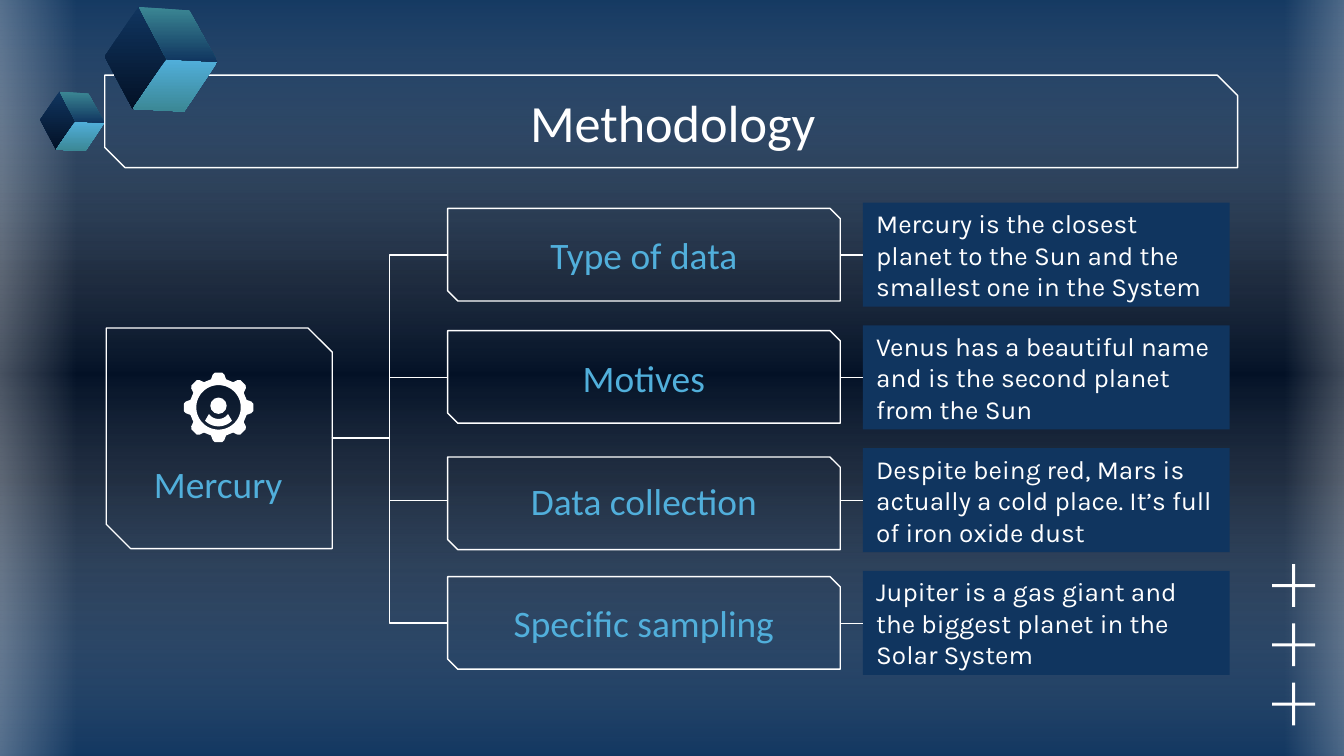
"""Build the methodology slide: one topic branching into four described steps."""
import copy
import math

import pptx
import pptx.dml.color
import pptx.enum.shapes
import pptx.enum.text
import pptx.oxml.ns
import pptx.util
from lxml import etree

Cm = pptx.util.Cm
SHAPES = pptx.enum.shapes.MSO_SHAPE
CONNECTORS = pptx.enum.shapes.MSO_CONNECTOR
ALIGN = pptx.enum.text.PP_ALIGN
qn = pptx.oxml.ns.qn

WHITE, NAVY, NIGHT, SKY, TEAL = "FFFFFF", "10355F", "031126", "51AFDB", "3B8794"


def paint(fill, *stops, angle=90):
    """Fill with one hex colour, or with (position, hex, opacity) stops."""
    if len(stops) == 1:
        fill.solid()
        fill.fore_color.rgb = pptx.dml.color.RGBColor.from_string(stops[0])
        return
    fill.gradient()
    fill.gradient_angle = 360 - angle
    first = fill.gradient_stops[0]._gs
    for _ in stops[2:]:
        first.getparent().append(copy.deepcopy(first))
    for stop, (position, color, opacity) in zip(fill.gradient_stops, stops):
        stop.position = position / 100
        stop.color.rgb = pptx.dml.color.RGBColor.from_string(color)
        if opacity < 100:
            alpha = etree.SubElement(stop._gs[0], qn("a:alpha"))
            alpha.set("val", str(opacity * 1000))


def write(box, text, size=20, color=SKY, font="Calibri", align=ALIGN.CENTER):
    """Put formatted text into a box."""
    frame = box.text_frame
    frame.word_wrap = True
    frame.vertical_anchor = pptx.enum.text.MSO_ANCHOR.MIDDLE
    frame.margin_left = frame.margin_right = Cm(0.25)
    frame.margin_top = frame.margin_bottom = Cm(0.25)
    paragraph = frame.paragraphs[0]
    paragraph.alignment = align
    run = paragraph.add_run()
    run.text = text
    run.font.size = pptx.util.Pt(size)
    run.font.name = font
    paint(run.font.fill, color)


deck = pptx.Presentation()
deck.slide_width, deck.slide_height = Cm(25.4), Cm(14.29)
slide = deck.slides.add_slide(deck.slide_layouts[6])
shapes = slide.shapes
paint(slide.background.fill,
      (0, NAVY, 100), (37, NIGHT, 100), (63, NIGHT, 100), (100, NAVY, 100))

haze = [(0, NAVY, 59), (50, WHITE, 0), (100, NAVY, 59)]
edge_glow = [(0, WHITE, 47), (100, WHITE, 0)]
for left, top, width, height, rotation, stops in [
    (5.59, -5.92, 14.76, 25.93, 270, haze),
    (-1.04, -0.23, 2.49, 14.73, 180, edge_glow),
    (24.28, -0.33, 2.16, 14.73, 0, edge_glow),
]:
    glow = shapes.add_shape(SHAPES.RECTANGLE, Cm(left), Cm(top), Cm(width), Cm(height))
    glow.shadow.inherit = False
    glow.rotation = rotation
    glow.line.fill.background()
    paint(glow.fill, *stops, angle=180)

steps = [
    ("Type of data", 3.94,
     "Mercury is the closest planet to the Sun and the smallest one in the System"),
    ("Motives", 6.25,
     "Venus has a beautiful name and is the second planet from the Sun"),
    ("Data collection", 8.64,
     "Despite being red, Mars is actually a cold place. It’s full of iron oxide dust"),
    ("Specific sampling", 10.9,
     "Jupiter is a gas giant and the biggest planet in the Solar System"),
]
step_left, step_width, step_pitch = 8.46, 7.42, 2.32
step_right = step_left + step_width
detail_left = 16.31

frames = [(step_left, top, step_width, 1.75, 0.11) for _, top, _ in steps]
frames += [(2.01, 6.2, 4.27, 4.17, 0.11), (1.98, 1.42, 21.41, 1.75, 0.22)]
for left, top, width, height, snip in frames:
    outline = shapes.add_shape(SHAPES.SNIP_2_DIAG_RECTANGLE,
                               Cm(left), Cm(top), Cm(width), Cm(height))
    outline.shadow.inherit = False
    outline.adjustments[0], outline.adjustments[1] = 0, snip
    outline.fill.background()
    paint(outline.line.fill, WHITE)
    outline.line.width = pptx.util.Pt(0.75)

write(shapes.add_textbox(Cm(2.01), Cm(1.5), Cm(21.41), Cm(1.6)),
      "Methodology", size=28, color=WHITE)
write(shapes.add_textbox(Cm(2.18), Cm(8.48), Cm(3.89), Cm(1.32)), "Mercury")

for row, (step, _, description) in enumerate(steps):
    middle = 4.82 + row * step_pitch
    detail = shapes.add_shape(SHAPES.RECTANGLE, Cm(detail_left), Cm(middle - 0.99),
                              Cm(6.93), Cm(1.97))
    detail.shadow.inherit = False
    detail.line.fill.background()
    paint(detail.fill, NAVY)
    write(detail, description, size=14, color=WHITE, font="Karla", align=ALIGN.LEFT)
    write(shapes.add_textbox(Cm(step_left), Cm(middle - 0.78), Cm(step_width), Cm(1.55)),
          step)
    for route, start_x, start_y, end_x in [
        (CONNECTORS.ELBOW, 6.27, 8.28, step_left),
        (CONNECTORS.STRAIGHT, step_right, middle, detail_left),
    ]:
        branch = shapes.add_connector(route, Cm(start_x), Cm(start_y),
                                      Cm(end_x), Cm(middle))
        paint(branch.line.fill, WHITE)
        branch.line.width = pptx.util.Pt(0.75)
        etree.SubElement(branch._element.spPr, qn("a:effectLst"))

gear_x, gear_y = 4.13, 7.7
tooth = [(-15, 0.55), (-10, 0.63), (-6, 0.66), (6, 0.66), (10, 0.63), (15, 0.55)]
gear_rim = [(45 * k + turn, radius) for k in range(8) for turn, radius in tooth]
gear_hole = [(turn, 0.42) for turn in range(360, 0, -6)]
shoulders = [(turn, 0.36) for turn in range(45, 136, 5)]
shoulders += [(turn, 0.22) for turn in range(145, 34, -5)]

outlines = []
for rings in ([gear_rim, gear_hole], [shoulders]):
    contours = [[(gear_x + radius * math.cos(math.radians(turn)),
                  gear_y + radius * math.sin(math.radians(turn)))
                 for turn, radius in ring] for ring in rings]
    outlines.append((contours, [WHITE]))

cube_faces = [
    ([(0.64, 0), (0, 0.94), (0.53, 1.93), (1.17, 0.99)], NAVY, NIGHT),
    ([(1.17, 0.99), (2.13, 1.04), (1.5, 1.98), (0.53, 1.93)], SKY, TEAL),
    ([(0.64, 0), (1.6, 0.07), (2.13, 1.04), (1.17, 0.99)], TEAL, NAVY),
]
for cube_x, cube_y, scale in [(1.98, 0.13, 1), (0.76, 1.73, 0.57)]:
    for corners, upper, lower in cube_faces:
        face = [(cube_x + x * scale, cube_y + y * scale) for x, y in corners]
        outlines.append(([face], [(0, upper, 100), (100, lower, 100)]))

for contours, colors in outlines:
    builder = None
    for contour in contours:
        points = [(Cm(x), Cm(y)) for x, y in contour]
        if builder is None:
            builder = shapes.build_freeform(*points[0])
        else:
            builder.move_to(*points[0])
        builder.add_line_segments(points[1:], close=True)
    figure = builder.convert_to_shape()
    figure.shadow.inherit = False
    figure.line.fill.background()
    paint(figure.fill, *colors)

marks = [(SHAPES.OVAL, gear_x, 7.67, 0.31, 0.31)]
for k in range(3):
    plus_y = 11.07 + 1.12 * k
    marks += [(SHAPES.RECTANGLE, 24.45, plus_y, 0.81, 0.06),
              (SHAPES.RECTANGLE, 24.45, plus_y, 0.06, 0.81)]
for preset, center_x, center_y, width, height in marks:
    mark = shapes.add_shape(preset, Cm(center_x - width / 2), Cm(center_y - height / 2),
                            Cm(width), Cm(height))
    mark.shadow.inherit = False
    mark.line.fill.background()
    paint(mark.fill, WHITE)

deck.save("out.pptx")
